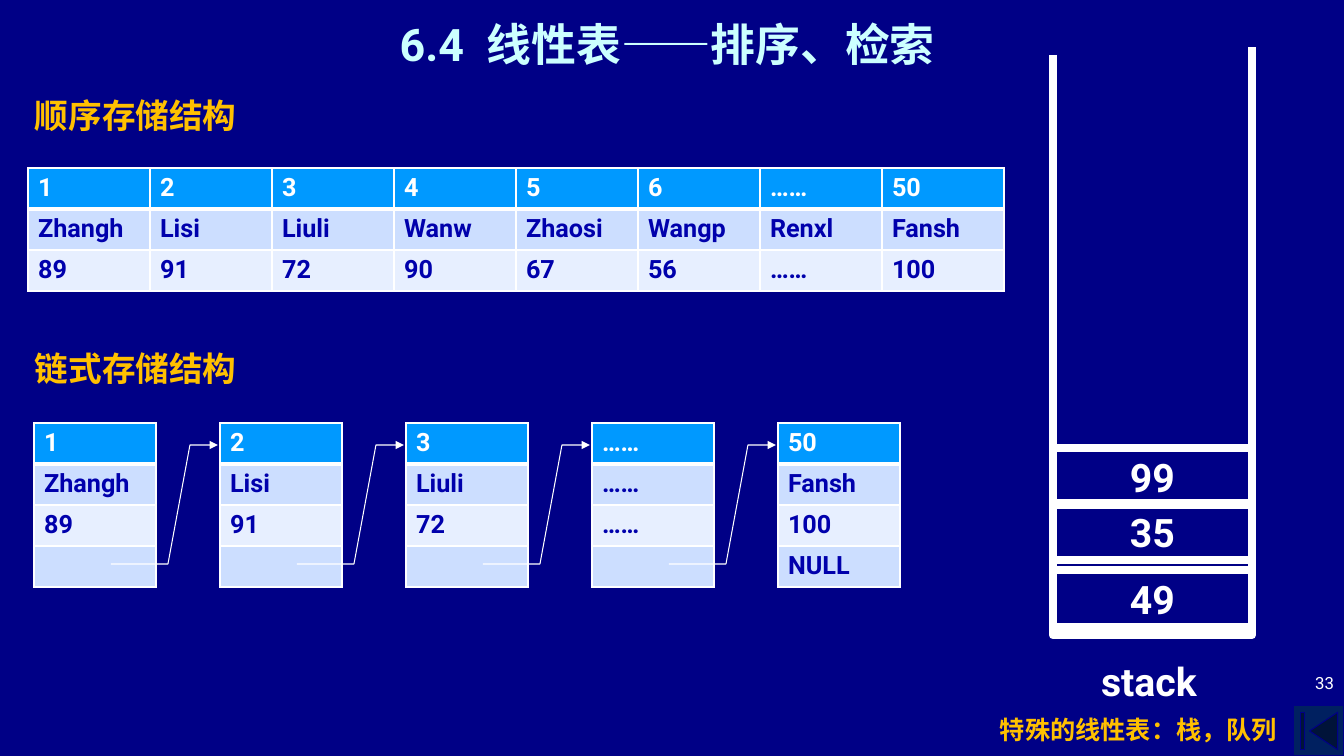
import lxml.etree
import pptx
import pptx.dml.color
import pptx.enum.shapes
import pptx.enum.text
import pptx.oxml.ns
import pptx.util

ALIGN = pptx.enum.text.PP_ALIGN
ANCHOR = pptx.enum.text.MSO_ANCHOR
SHAPE = pptx.enum.shapes.MSO_SHAPE
qn = pptx.oxml.ns.qn

COLORS = {
    "background": "000086",
    "button": "002060",
    "title": "CCFFFF",
    "heading": "FFC000",
    "white": "FFFFFF",
    "header": "0099FF",
    "band_dark": "CCDEFF",
    "band_light": "E7EFFF",
    "cell_text": "0000AC",
}


def rgb(name):
    return pptx.dml.color.RGBColor.from_string(COLORS[name])


class SlideBuilder:
    font_name = "Roboto"
    scale = 914400 / 100.8

    def __init__(self, presentation):
        presentation.slide_width = self.px(1344)
        presentation.slide_height = self.px(756)
        self.slide = presentation.slides.add_slide(presentation.slide_layouts[5])
        self.shapes = self.slide.shapes
        self.slide.background.fill.solid()
        self.slide.background.fill.fore_color.rgb = rgb("background")

    def px(self, length):
        return pptx.util.Emu(round(length * self.scale))

    def set_text(self, frame, text, size, color, align=ALIGN.LEFT,
                 anchor=ANCHOR.TOP, bold=True):
        layout = {"word_wrap": True, "vertical_anchor": anchor,
                  "auto_size": pptx.enum.text.MSO_AUTO_SIZE.NONE}
        for key, value in layout.items():
            setattr(frame, key, value)
        paragraph = frame.paragraphs[0]
        paragraph.alignment = align
        self.add_run(paragraph, text, size, color, bold)

    def add_run(self, paragraph, text, size, color, bold=True):
        run = paragraph.add_run()
        run.text = text
        style = {"name": self.font_name, "size": pptx.util.Pt(size), "bold": bold}
        for key, value in style.items():
            setattr(run.font, key, value)
        run.font.color.rgb = rgb(color)

    def title(self, box, text):
        title = self.shapes.title
        for key, value in zip(("left", "top", "width", "height"), box):
            setattr(title, key, self.px(value))
        self.set_text(title.text_frame, text, 32, "title", ALIGN.CENTER, ANCHOR.MIDDLE)

    def text(self, box, text, size, color, **layout):
        label = self.shapes.add_textbox(*map(self.px, box))
        self.set_text(label.text_frame, text, size, color, **layout)

    def outline(self, shape, color, width):
        shape.shadow.inherit = False
        shape.line.color.rgb = rgb(color)
        shape.line.width = pptx.util.Pt(width)

    def home_button(self, box):
        button = self.shapes.add_shape(SHAPE.ACTION_BUTTON_BEGINNING, *map(self.px, box))
        button.fill.solid()
        button.fill.fore_color.rgb = rgb("button")
        self.outline(button, "background", 0.75)

    def stack_item(self, box, text):
        item = self.shapes.add_shape(SHAPE.RECTANGLE, *map(self.px, box))
        item.fill.background()
        self.outline(item, "white", 6)
        self.set_text(item.text_frame, text, 28, "white", ALIGN.CENTER, ANCHOR.MIDDLE)

    def polyline(self, points, width, arrow=False):
        builder = self.shapes.build_freeform(*points[0], scale=self.scale)
        builder.add_line_segments(points[1:], close=False)
        line = builder.convert_to_shape()
        line.fill.background()
        self.outline(line, "white", width)
        if arrow:
            edge = line.element.spPr.find(qn("a:ln"))
            lxml.etree.SubElement(edge, qn("a:tailEnd"), type="triangle")

    def borders(self, cell, row):
        """Draw white cell edges, thicker between the header and the body."""
        properties = cell._tc.get_or_add_tcPr()
        widths = {"L": 1, "R": 1, "T": 3 if row == 1 else 1, "B": 3 if row == 0 else 1}
        for side, width in widths.items():
            edge = lxml.etree.SubElement(properties, qn(f"a:ln{side}"),
                                         w=str(int(pptx.util.Pt(width))))
            fill = lxml.etree.SubElement(edge, qn("a:solidFill"))
            lxml.etree.SubElement(fill, qn("a:srgbClr"), val=COLORS["white"])

    def table(self, left, top, rows, column_width=122, row_height=41):
        box = (left, top, column_width * len(rows[0]), row_height * len(rows))
        table = self.shapes.add_table(len(rows), len(rows[0]), *map(self.px, box)).table
        for column in table.columns:
            column.width = self.px(column_width)
        for r, values in enumerate(rows):
            table.rows[r].height = self.px(row_height)
            band = "header" if r == 0 else ("band_light", "band_dark")[r % 2]
            for c, value in enumerate(values):
                cell = table.cell(r, c)
                self.borders(cell, r)
                cell.fill.solid()
                cell.fill.fore_color.rgb = rgb(band)
                if value:
                    self.add_run(cell.text_frame.paragraphs[0], value, 18,
                                 "white" if r == 0 else "cell_text")


def main():
    presentation = pptx.Presentation()
    page = SlideBuilder(presentation)
    page.home_button((1294, 706, 50, 50))
    page.text((1300, 648, 44, 50), "33", 12, "white", align=ALIGN.RIGHT,
              anchor=ANCHOR.BOTTOM, bold=False)
    page.title((214, 8, 907, 72), "6.4  线性表——排序、检索")

    stack_left, stack_width = 1053, 199
    stack_right = stack_left + stack_width
    page.polyline([(stack_left, 55), (stack_left, 635),
                   (stack_right, 635), (stack_right, 47)], 6)
    page.text((1030, 652, 238, 57), "stack", 28, "white", align=ALIGN.CENTER)
    for top, value in ((570, "49"), (503, "35"), (448, "99")):
        page.stack_item((stack_left, top, stack_width, 57), value)

    nodes = [
        ("1", "Zhangh", "89", ""),
        ("2", "Lisi", "91", ""),
        ("3", "Liuli", "72", ""),
        ("……", "……", "……", ""),
        ("50", "Fansh", "100", "NULL"),
    ]
    node_left, node_top, node_pitch = 34, 423, 186
    pointer_y, target_y = node_top + 141, node_top + 22
    for index, node in enumerate(nodes):
        left = node_left + index * node_pitch
        page.table(left, node_top, [(value,) for value in node])
        if index < len(nodes) - 1:
            page.polyline([(left + 77, pointer_y), (left + 134, pointer_y),
                           (left + 156, target_y), (left + 184, target_y)],
                          0.75, arrow=True)

    page.table(28, 168, [
        ("1", "2", "3", "4", "5", "6", "……", "50"),
        ("Zhangh", "Lisi", "Liuli", "Wanw", "Zhaosi", "Wangp", "Renxl", "Fansh"),
        ("89", "91", "72", "90", "67", "56", "……", "100"),
    ])

    page.text((25, 90, 263, 51), "顺序存储结构", 24, "heading")
    page.text((25, 343, 263, 51), "链式存储结构", 24, "heading")
    page.text((990, 709, 332, 40), "特殊的线性表：栈，队列", 18, "heading")
    presentation.save("out.pptx")


if __name__ == "__main__":
    main()
